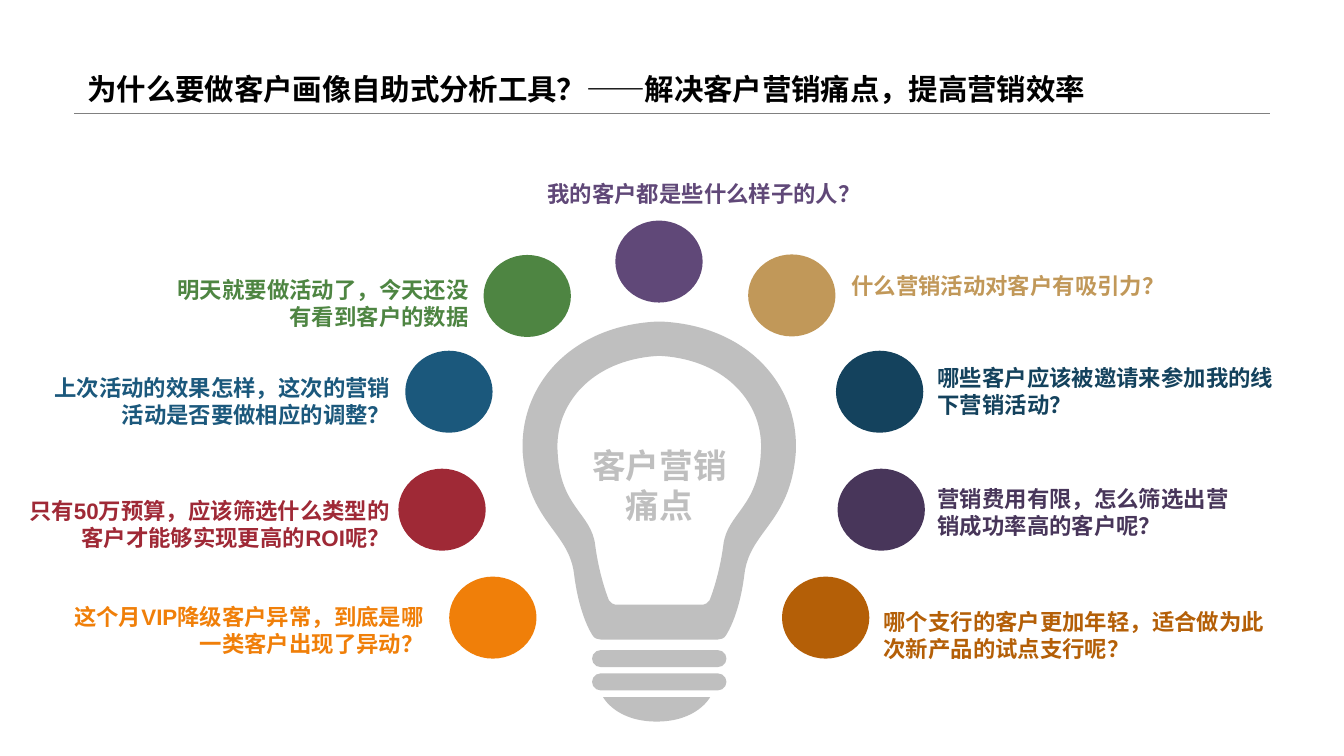
import pptx
import pptx.util
import pptx.dml.color
import pptx.enum.shapes
import pptx.enum.text
import pptx.oxml.ns
import lxml.etree

Cm = pptx.util.Cm
Pt = pptx.util.Pt
RGBColor = pptx.dml.color.RGBColor
MSO_SHAPE = pptx.enum.shapes.MSO_SHAPE
PP_ALIGN = pptx.enum.text.PP_ALIGN
MSO_ANCHOR = pptx.enum.text.MSO_ANCHOR
MSO_AUTO_SIZE = pptx.enum.text.MSO_AUTO_SIZE
qn = pptx.oxml.ns.qn

FONT = "Arial"
BLACK = RGBColor(0x00, 0x00, 0x00)
RULE_GRAY = RGBColor(0x80, 0x80, 0x80)
BULB_GRAY = RGBColor(0xBF, 0xBF, 0xBF)
PURPLE = RGBColor(0x60, 0x48, 0x78)
GREEN = RGBColor(0x4E, 0x85, 0x42)
BLUE = RGBColor(0x1B, 0x58, 0x7C)
RED = RGBColor(0x9F, 0x29, 0x36)
ORANGE = RGBColor(0xF0, 0x7F, 0x09)
TAN = RGBColor(0xC1, 0x98, 0x59)
NAVY = RGBColor(0x14, 0x42, 0x5D)
DARK_PURPLE = RGBColor(0x48, 0x36, 0x5A)
BROWN = RGBColor(0xB4, 0x5F, 0x07)

TITLE = "为什么要做客户画像自助式分析工具？——解决客户营销痛点，提高营销效率"

# Colour, circle (left, top), text (left, top, width, height), alignment, wording; in cm
PAIN_POINTS = [
    (PURPLE, (11.63, 4.17), (9.64, 3.41, 7.34, 0.53), PP_ALIGN.CENTER,
     "我的客户都是些什么样子的人？"),
    (GREEN, (9.14, 4.82), (3.22, 5.22, 5.64, 1.04), PP_ALIGN.RIGHT,
     "明天就要做活动了，今天还没有看到客户的数据"),
    (BLUE, (7.66, 6.63), (1.03, 7.07, 6.35, 1.04), PP_ALIGN.RIGHT,
     "上次活动的效果怎样，这次的营销活动是否要做相应的调整？"),
    (RED, (7.53, 8.86), (0.33, 9.4, 7.04, 1.04), PP_ALIGN.RIGHT,
     "只有50万预算，应该筛选什么类型的客户才能够实现更高的ROI呢？"),
    (ORANGE, (8.49, 10.9), (1.23, 11.4, 6.78, 1.04), PP_ALIGN.RIGHT,
     "这个月VIP降级客户异常，到底是哪一类客户出现了异动？"),
    (TAN, (14.14, 4.81), (16.09, 5.14, 6.4, 0.53), PP_ALIGN.LEFT,
     "什么营销活动对客户有吸引力？"),
    (NAVY, (15.8, 6.63), (17.72, 6.88, 6.73, 1.04), PP_ALIGN.LEFT,
     "哪些客户应该被邀请来参加我的线下营销活动？"),
    (DARK_PURPLE, (15.83, 8.86), (17.72, 9.18, 5.74, 1.04), PP_ALIGN.LEFT,
     "营销费用有限，怎么筛选出营销成功率高的客户呢？"),
    (BROWN, (14.78, 10.9), (16.7, 11.49, 7.29, 1.04), PP_ALIGN.LEFT,
     "哪个支行的客户更加年轻，适合做为此次新产品的试点支行呢？"),
]

# Half outlines of the bulb: start point, then Bezier curves, as
# (distance from the axis, height on the slide) in cm
BULB_AXIS = 12.46
CAP_AXIS = 12.41
GLASS_OUTER = [
    (0.06, 6.08),
    (1.71, 6.17), (2.65, 7.32), (2.58, 8.56),
    (2.48, 9.88), (1.71, 10.03), (1.61, 10.85),
    (1.51, 11.66), (1.26, 12.01), (1.26, 12.01),
    (1.23, 12.07), (1.16, 12.09), (1.1, 12.09),
]
GLASS_INNER = [
    (0.05, 6.73),
    (1.28, 6.81), (1.99, 7.65), (1.92, 8.56),
    (1.87, 9.6), (1.28, 9.7), (1.21, 10.31),
    (1.13, 10.92), (0.95, 11.35), (0.95, 11.35),
    (0.9, 11.4), (0.88, 11.43), (0.83, 11.43),
]
BASE_CAP = [(1.01, 13.18), (1.01, 13.18), (0.77, 13.64), (0, 13.64)]


def set_fill(shape, color):
    shape.shadow.inherit = False
    shape.fill.solid()
    shape.fill.fore_color.rgb = color
    shape.line.fill.background()


def format_paragraph(paragraph, size, color, alignment):
    paragraph.alignment = alignment
    paragraph.font.name = FONT
    paragraph.font.size = Pt(size)
    paragraph.font.bold = True
    paragraph.font.color.rgb = color


def add_shape(slide, kind, left, top, width, height, color):
    shape = slide.shapes.add_shape(kind, Cm(left), Cm(top), Cm(width), Cm(height))
    set_fill(shape, color)
    return shape


def add_text(slide, box, lines, size, color, alignment, inset=None):
    text_frame = slide.shapes.add_textbox(*(Cm(value) for value in box)).text_frame
    text_frame.word_wrap = True
    if inset is not None:
        text_frame.margin_left = text_frame.margin_right = Cm(inset)
        text_frame.margin_top = text_frame.margin_bottom = Cm(inset)
    text_frame.text = "\n".join(lines)
    for paragraph in text_frame.paragraphs:
        format_paragraph(paragraph, size, color, alignment)


def symmetric_outline(half, axis):
    """Mirror a half outline; a straight curve joins the two halves."""
    left = [(Cm(axis - x), Cm(y)) for x, y in half]
    right = [(Cm(axis + x), Cm(y)) for x, y in reversed(half)]
    return left + right[:1] * 3 + right[1:]


def add_curved_shape(slide, halves, axis, color):
    first, *others = [symmetric_outline(half, axis) for half in halves]
    builder = slide.shapes.build_freeform(*first[0])
    builder.add_line_segments(first[1:], close=True)
    for outline in others:
        builder.move_to(*outline[0])
        builder.add_line_segments(outline[1:], close=True)
    shape = builder.convert_to_shape()
    set_fill(shape, color)
    # Every three points make one Bezier curve
    segments = list(shape._element.iter(qn("a:lnTo")))
    for index in range(0, len(segments), 3):
        curve, *rest = segments[index:index + 3]
        bezier = lxml.etree.Element(qn("a:cubicBezTo"))
        curve.addprevious(bezier)
        for segment in (curve, *rest):
            bezier.append(segment[0])
            segment.getparent().remove(segment)


def add_title(slide):
    title = slide.shapes.title
    title.left, title.top, title.width, title.height = Cm(1.4), Cm(0), Cm(22.6), Cm(2.14)
    text_frame = title.text_frame
    text_frame.text = TITLE
    text_frame.word_wrap = True
    text_frame.auto_size = MSO_AUTO_SIZE.NONE
    text_frame.vertical_anchor = MSO_ANCHOR.BOTTOM
    paragraph = text_frame.paragraphs[0]
    format_paragraph(paragraph, 15.75, BLACK, PP_ALIGN.LEFT)
    paragraph.line_spacing = 0.9


def add_rule(slide):
    rule = slide.shapes.add_connector(
        pptx.enum.shapes.MSO_CONNECTOR.STRAIGHT, Cm(1.4), Cm(2.14), Cm(24), Cm(2.14))
    rule.line.color.rgb = RULE_GRAY
    rule.line.width = Pt(0.25)
    lxml.etree.SubElement(rule._element.spPr, qn("a:effectLst"))


def add_bulb(slide):
    for top in (12.73, 12.29):
        bar = add_shape(slide, MSO_SHAPE.ROUNDED_RECTANGLE,
                        BULB_AXIS - 1.27, top, 2.54, 0.32, BULB_GRAY)
        bar.adjustments[0] = 0.5
    add_curved_shape(slide, [BASE_CAP], CAP_AXIS, BULB_GRAY)
    add_curved_shape(slide, [GLASS_OUTER, GLASS_INNER], BULB_AXIS, BULB_GRAY)
    add_text(slide, (10.37, 8.28, 4.19, 1.8), ["客户营销", "痛点"],
             18, BULB_GRAY, PP_ALIGN.CENTER)


def main():
    presentation = pptx.Presentation()
    presentation.slide_width, presentation.slide_height = Cm(25.4), Cm(14.29)
    slide = presentation.slides.add_slide(presentation.slide_layouts[5])

    # Heading
    add_title(slide)
    add_rule(slide)

    # Light bulb with the topic
    add_bulb(slide)

    # Pain points around the bulb
    for color, (left, top), box, alignment, wording in PAIN_POINTS:
        add_shape(slide, MSO_SHAPE.OVAL, left, top, 1.65, 1.55, color)
        add_text(slide, box, [wording], 12, color, alignment, inset=0)

    presentation.save("out.pptx")


if __name__ == "__main__":
    main()
